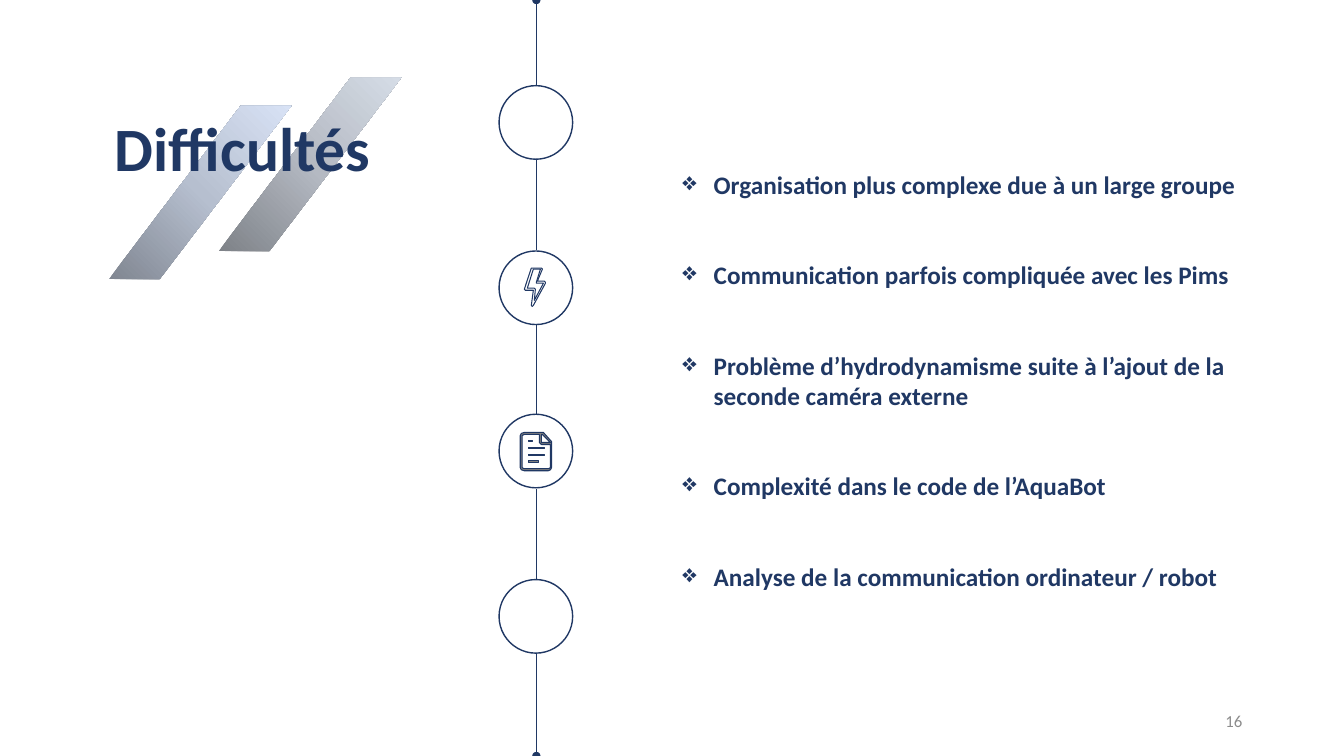
from lxml import etree
import copy
from pptx import Presentation, util as u
from pptx.dml.color import RGBColor
from pptx.enum import shapes, text
from pptx.oxml import ns

PX = 9144
COLORS = {"navy": "203864", "grey": "808080", "white": "FFFFFF", "number": "8C8C8C"}
BLUE_GRADIENT = ["808691", "B6BFCF", "D8E2F5"]
GREY_GRADIENT = ["7E8288", "B4B9C2", "D5DCE6"]
AXIS_X, CIRCLE_SIZE = 532, 73
CIRCLE_TOPS = [85, 249, 411, 575]
AXIS_LINES = [(85, 0, True), (158, 248, False), (321, 411, False),
              (485, 575, False), (648, 750, True)]
DIFFICULTIES = [
    "Organisation plus complexe due à un large groupe",
    "Communication parfois compliquée avec les Pims",
    "Problème d’hydrodynamisme suite à l’ajout de la seconde caméra externe",
    "Complexité dans le code de l’AquaBot",
    "Analyse de la communication ordinateur / robot",
]
TEXT_BARS = [(528, 437, 438), (540, 444, 445), (540, 451, 452), (534, 457, 459)]
DOCUMENT = [
    [(539, 429), (520, 429), (517, 430), (516, 432), (516, 464), (517, 466), (520, 467),
     (544, 467), (546, 466), (547, 464), (547, 438)],
    [(546, 464), (544, 465), (520, 465), (518, 464), (518, 432), (520, 431),
     (535, 431), (535, 439), (537, 441), (546, 441)],
    [(537, 439), (537, 431), (538, 431), (546, 439)],
] + [[(524, top), (right, top), (right, bottom), (524, bottom)]
     for right, top, bottom in TEXT_BARS]
LIGHTNING = [
    [(541, 280), (540, 279), (533, 279), (538, 267), (537, 266), (528, 266), (527, 266),
     (520, 287), (521, 288), (529, 288), (527, 303), (528, 304), (529, 303), (541, 281)],
    [(530, 298), (531, 287), (530, 286), (523, 286), (529, 267), (536, 267),
     (532, 280), (532, 281), (539, 281)],
]


def px(*values):
    """Turn pixel lengths into EMU."""
    return [u.Emu(value * PX) for value in values]


def rgb(name):
    """Look up a named colour."""
    return RGBColor.from_string(COLORS[name])


def outline(shape, width=1):
    """Give a shape or connector a navy line."""
    shape.line.color.rgb = rgb("navy")
    shape.line.width = u.Pt(width)


def add_axis_line(slide, start, end, dotted):
    """Draw one stretch of the vertical axis, with an oval end if dotted."""
    line = slide.shapes.add_connector(
        shapes.MSO_CONNECTOR.STRAIGHT, *px(AXIS_X, start, AXIS_X, end))
    outline(line)
    properties = line._element.spPr
    if dotted:
        etree.SubElement(properties.find(ns.qn("a:ln")), ns.qn("a:tailEnd"), type="oval")
    etree.SubElement(properties, ns.qn("a:effectLst"))


def add_circle(slide, top):
    """Draw an empty circle on the axis."""
    circle = slide.shapes.add_shape(
        shapes.MSO_SHAPE.OVAL, *px(495, top, CIRCLE_SIZE, CIRCLE_SIZE))
    circle.shadow.inherit = False
    circle.fill.background()
    outline(circle)


def add_stripe(slide, left, top, gradient):
    """Draw a slanted stripe with a three-stop gradient."""
    stripe = slide.shapes.add_shape(
        shapes.MSO_SHAPE.PARALLELOGRAM, *px(left, top, 181, 172))
    stripe.adjustments[0] = 0.76
    stripe.shadow.inherit = False
    stripe.line.fill.background()
    stripe.fill.gradient()
    stripe.fill.gradient_angle = 45
    stop_list = stripe._element.spPr.find(".//" + ns.qn("a:gsLst"))
    stop_list.append(copy.deepcopy(stop_list[-1]))
    for index, color in enumerate(gradient):
        stop = stripe.fill.gradient_stops[index]
        stop.position = index / 2
        stop.color.rgb = RGBColor.from_string(color)


def add_icon(slide, contours, fill):
    """Draw an icon as one freeform of several closed contours."""
    builder = slide.shapes.build_freeform(*contours[0][0], scale=PX)
    for index, contour in enumerate(contours):
        if index:
            builder.move_to(*contour[0])
        builder.add_line_segments(contour[1:], close=True)
    icon = builder.convert_to_shape()
    icon.shadow.inherit = False
    icon.fill.solid()
    icon.fill.fore_color.rgb = rgb(fill)
    outline(icon, 0.75)


def set_bullet(paragraph):
    """Give a paragraph a hanging diamond bullet."""
    properties = paragraph._p.get_or_add_pPr()
    indent = 31 * PX
    properties.set("marL", str(indent))
    properties.set("indent", str(-indent))
    etree.SubElement(properties, ns.qn("a:buChar"), char="❖")


def add_text(slide, box, lines, color, font, frame=None, layout=None, bullets=False, gap=0):
    """Add a text box with one paragraph per line."""
    text_frame = slide.shapes.add_textbox(*px(*box)).text_frame
    for name, value in {"word_wrap": True, **(frame or {})}.items():
        setattr(text_frame, name, value)
    for index, line in enumerate(lines):
        paragraph = text_frame.add_paragraph() if index else text_frame.paragraphs[0]
        if bullets:
            set_bullet(paragraph)
        if index:
            paragraph.space_before = u.Pt(gap)
        for name, value in (layout or {}).items():
            setattr(paragraph, name, value)
        run = paragraph.add_run()
        run.text = line
        for name, value in {"name": "Calibri", **font}.items():
            setattr(run.font, name, value)
        run.font.color.rgb = rgb(color)


def main():
    """Build the slide and save it."""
    presentation = Presentation()
    presentation.slide_width, presentation.slide_height = px(1333, 750)
    slide = presentation.slides.add_slide(presentation.slide_layouts[6])
    for start, end, dotted in AXIS_LINES:
        add_axis_line(slide, start, end, dotted)
    for top in CIRCLE_TOPS:
        add_circle(slide, top)
    add_stripe(slide, 108, 105, BLUE_GRADIENT)
    add_stripe(slide, 217, 77, GREY_GRADIENT)
    grow = {"auto_size": text.MSO_AUTO_SIZE.SHAPE_TO_FIT_TEXT}
    add_text(slide, (104, 104, 497, 84), ["Difficultés"], "navy",
             {"size": u.Pt(44), "bold": True}, grow)
    add_text(slide, (667, 163, 598, 434), DIFFICULTIES, "navy",
             {"size": u.Pt(18), "bold": True}, grow, bullets=True, gap=43)
    add_icon(slide, DOCUMENT, "grey")
    add_icon(slide, LIGHTNING, "white")
    add_text(slide, (942, 695, 300, 40), ["16"], "number", {"size": u.Pt(12)},
             {"vertical_anchor": text.MSO_ANCHOR.MIDDLE},
             {"alignment": text.PP_ALIGN.RIGHT})
    presentation.save("out.pptx")


if __name__ == "__main__":
    main()
